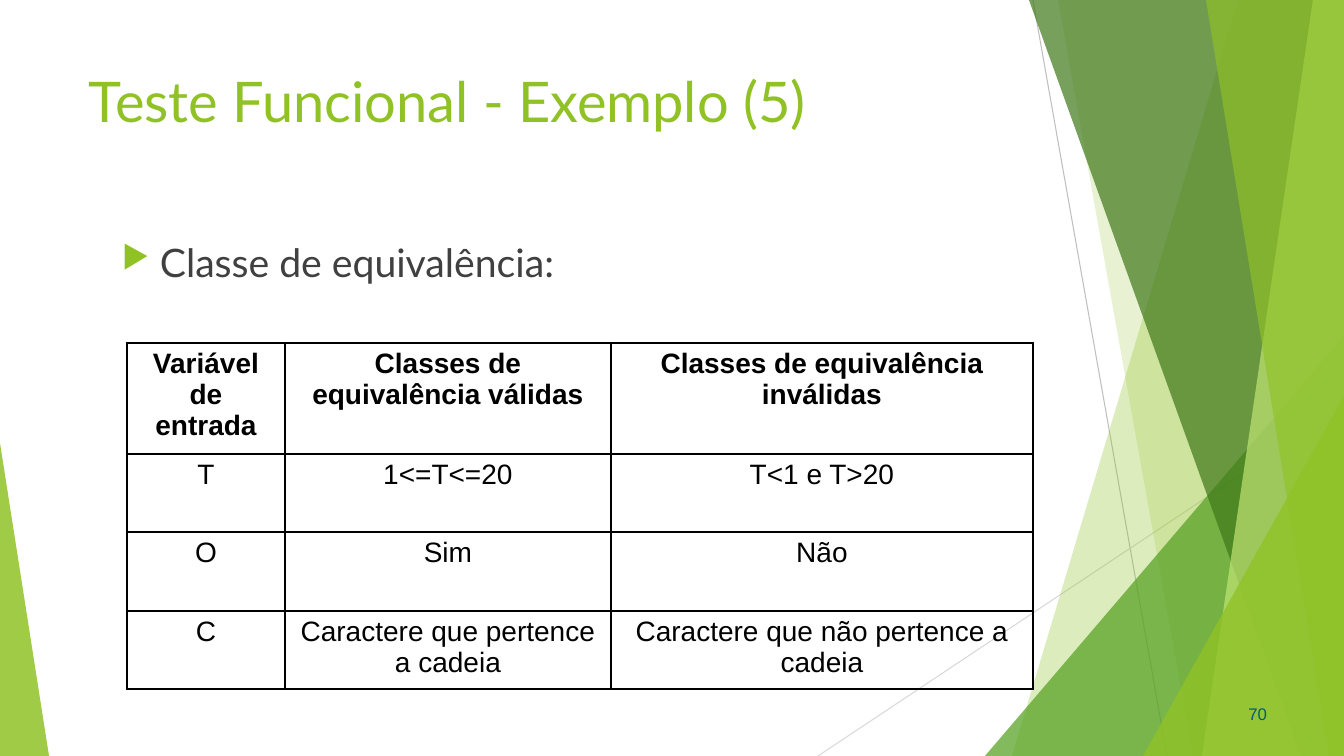
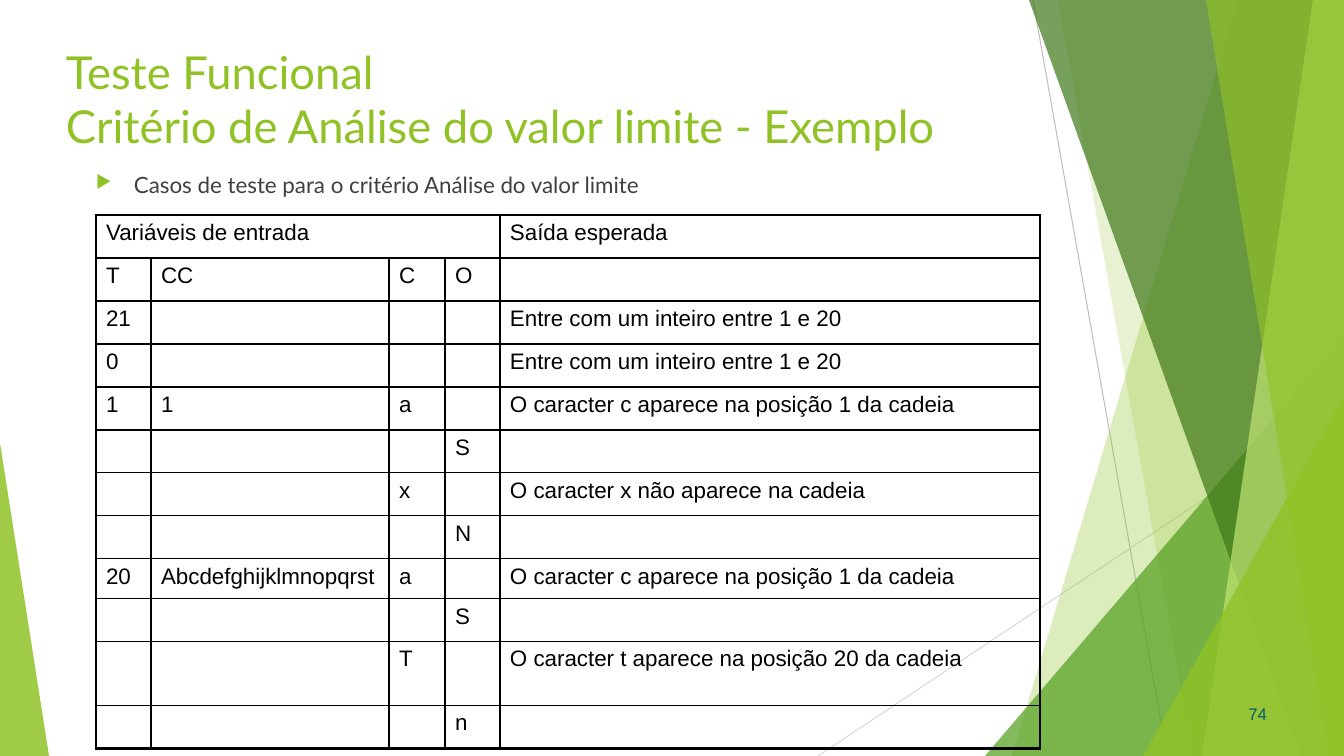
import pptx
import pptx.dml.color
import pptx.enum.shapes
import pptx.enum.text
import pptx.oxml.ns
import pptx.util
from lxml import etree

WIDTH, HEIGHT = 1344, 756
EMU_PER_PX = 12192000 / WIDTH

COLORS = {
    "lime": "90C226",
    "green": "54A021",
    "forest": "3F7819",
    "pale": "C0E474",
    "body": "404040",
    "black": "000000",
    "page": "045C75",
    "gray": "BFBFBF",
    "light gray": "D9D9D9",
}
HEADING_FONT, TABLE_FONT = "Lato", "Arial"
THIN, THICK = 1, 2.25

RAYS = [((1033, 0), (1167, 756), "gray"), ((1344, 406), (818, 756), "light gray")]

# ("band", top x, bottom x) reaches the right edge;
# ("triangle", box, apex) has its apex at that fraction of the width.
FACETS = [
    (("band", 1238, 1012), "lime", 30),
    (("band", 1058, 1193), "lime", 20),
    (("triangle", (985, 336, 359, 420), 1), "green", 72),
    (("band", 1029, 1301), "forest", 70),
    (("band", 1313, 1202), "pale", 70),
    (("band", 1206, 1329), "lime", 65),
    (("triangle", (1143, 396, 201, 360), 1), "lime", 80),
    (("triangle", (0, 443, 49, 313), 0), "lime", 85),
]

ALIGN = pptx.enum.text.PP_ALIGN
ANCHOR = pptx.enum.text.MSO_ANCHOR
qn = pptx.oxml.ns.qn


def px(length):
    return pptx.util.Emu(round(length * EMU_PER_PX))


def rgb(color):
    return pptx.dml.color.RGBColor.from_string(COLORS[color])


class Deck:
    def __init__(self):
        self.presentation = pptx.Presentation()
        self.presentation.slide_width = px(WIDTH)
        self.presentation.slide_height = px(HEIGHT)
        self.slide = None

    def start_slide(self, page):
        blank = self.presentation.slide_layouts[6]
        self.slide = self.presentation.slides.add_slide(blank)
        for start, end, color in RAYS:
            self.ray(start, end, color)
        for outline, color, opacity in FACETS:
            self.facet(outline, color, opacity)
        self.page_number(page)

    def ray(self, start, end, color):
        straight = pptx.enum.shapes.MSO_CONNECTOR.STRAIGHT
        ray = self.slide.shapes.add_connector(straight, *map(px, start + end))
        ray.line.color.rgb = rgb(color)
        ray.line.width = pptx.util.Pt(0.75)
        etree.SubElement(ray.element.spPr, qn("a:effectLst"))

    def facet(self, outline, color, opacity):
        """Draw one translucent piece of the backdrop; opacity in percent."""
        kind, *geometry = outline
        if kind == "band":
            top_x, bottom_x = geometry
            builder = self.slide.shapes.build_freeform(top_x, 0, EMU_PER_PX)
            builder.add_line_segments([(WIDTH, 0), (WIDTH, HEIGHT), (bottom_x, HEIGHT)])
            facet = builder.convert_to_shape()
        else:
            box, apex = geometry
            triangle = pptx.enum.shapes.MSO_SHAPE.ISOSCELES_TRIANGLE
            facet = self.slide.shapes.add_shape(triangle, *map(px, box))
            facet.adjustments[0] = apex
        facet.shadow.inherit = False
        facet.line.fill.background()
        facet.fill.solid()
        facet.fill.fore_color.rgb = rgb(color)
        fill_color = facet.element.spPr.find(qn("a:solidFill"))[0]
        etree.SubElement(fill_color, qn("a:alpha"), val=str(opacity * 1000))

    def text_frame(self, box, anchor=ANCHOR.TOP):
        frame = self.slide.shapes.add_textbox(*map(px, box)).text_frame
        frame.word_wrap = True
        frame.vertical_anchor = anchor
        return frame

    def run(self, paragraph, text, size, font, color, bold=False):
        run = paragraph.add_run()
        run.text = text
        run.font.size = pptx.util.Pt(size)
        run.font.name = font
        run.font.bold = bold
        run.font.color.rgb = rgb(color)

    def title(self, box, lines, size):
        paragraph = self.text_frame(box).paragraphs[0]
        for index, line in enumerate(lines):
            if index:
                paragraph.add_line_break()
            self.run(paragraph, line, size, HEADING_FONT, "lime")

    def bullet(self, box, text, size):
        paragraph = self.text_frame(box).paragraphs[0]
        properties = paragraph._p.get_or_add_pPr()
        indent = px(38)
        properties.set("marL", str(indent))
        properties.set("indent", str(-indent))
        bullet_color = etree.SubElement(properties, qn("a:buClr"))
        etree.SubElement(bullet_color, qn("a:srgbClr"), val=COLORS["lime"])
        etree.SubElement(properties, qn("a:buSzPct"), val="80000")
        etree.SubElement(properties, qn("a:buChar"), char="▶")
        self.run(paragraph, text, size, HEADING_FONT, "body")

    def page_number(self, page):
        paragraph = self.text_frame((964, 688, 313, 52), ANCHOR.MIDDLE).paragraphs[0]
        paragraph.alignment = ALIGN.RIGHT
        self.run(paragraph, str(page), 12, TABLE_FONT, "page")

    def table(self, corner, widths, heights, rows, size, align, bold_header=False, header_span=1):
        """Draw a ruled table with a thick outer frame and no fill."""
        box = (*corner, sum(widths), sum(heights))
        table = self.slide.shapes.add_table(len(rows), len(widths), *map(px, box)).table
        table.first_row = table.horz_banding = False
        for column, width in zip(table.columns, widths):
            column.width = px(width)
        for row, height in zip(table.rows, heights):
            row.height = px(height)
        last_row, last_column = len(rows) - 1, len(widths) - 1
        for r, texts in enumerate(rows):
            for c, text in enumerate(texts):
                cell = table.cell(r, c)
                paragraph = cell.text_frame.paragraphs[0]
                paragraph.alignment = align
                if text:
                    self.run(paragraph, text, size, TABLE_FONT, "black", bold_header and r == 0)
                else:
                    etree.SubElement(paragraph._p, qn("a:endParaRPr"), sz=str(size * 100))
                outer = {"L": c == 0, "R": c == last_column, "T": r == 0, "B": r == last_row}
                for side, is_outer in outer.items():
                    self.cell_border(cell, side, THICK if is_outer else THIN)
                cell.fill.background()
        if header_span > 1:
            table.cell(0, 0).merge(table.cell(0, header_span - 1))

    def cell_border(self, cell, side, width):
        properties = cell._tc.get_or_add_tcPr()
        border = etree.SubElement(properties, qn(f"a:ln{side}"), w=str(pptx.util.Pt(width)))
        fill = etree.SubElement(border, qn("a:solidFill"))
        etree.SubElement(fill, qn("a:srgbClr"), val=COLORS["black"])


def equivalence_classes(deck):
    deck.start_slide(70)
    deck.bullet((112, 233, 835, 75), "Classe de equivalência:", 28)
    classes = [
        ("Variável de entrada", "Classes de equivalência válidas", "Classes de equivalência inválidas"),
        ("T", "1<=T<=20", "T<1 e T>20"),
        ("O", "Sim", "Não"),
        ("C", "Caractere que pertence a cadeia", "Caractere que não pertence a cadeia"),
    ]
    deck.table((127, 343), [158, 326, 422], [111, 78, 79, 78], classes, 20,
               ALIGN.CENTER, bold_header=True)
    deck.title((79, 62, 1047, 126), ["Teste Funcional - Exemplo (5)"], 40)


def boundary_values(deck):
    deck.start_slide(74)
    deck.bullet((86, 166, 914, 32), "Casos de teste para o critério Análise do valor limite", 16)
    test_cases = [
        ("Variáveis de entrada", "", "", "", "Saída esperada"),
        ("T", "CC", "C", "O", ""),
        ("21", "", "", "", "Entre com um inteiro entre 1 e 20"),
        ("0", "", "", "", "Entre com um inteiro entre 1 e 20"),
        ("1", "1", "a", "", "O caracter c aparece na posição 1 da cadeia"),
        ("", "", "", "S", ""),
        ("", "", "x", "", "O caracter x não aparece na cadeia"),
        ("", "", "", "N", ""),
        ("20", "Abcdefghijklmnopqrst", "a", "", "O caracter c aparece na posição 1 da cadeia"),
        ("", "", "", "S", ""),
        ("", "", "T", "", "O caracter t aparece na posição 20 da cadeia"),
        ("", "", "", "n", ""),
    ]
    deck.table((96, 215), [55, 238, 56, 55, 540], [43] * 8 + [40, 43, 64, 43], test_cases,
               16, ALIGN.LEFT, header_span=4)
    deck.title((56, 39, 1070, 126),
               ["Teste Funcional", "Critério de Análise do valor limite - Exemplo"], 32.4)


def main():
    deck = Deck()
    equivalence_classes(deck)
    boundary_values(deck)
    deck.presentation.save("out.pptx")


if __name__ == "__main__":
    main()
